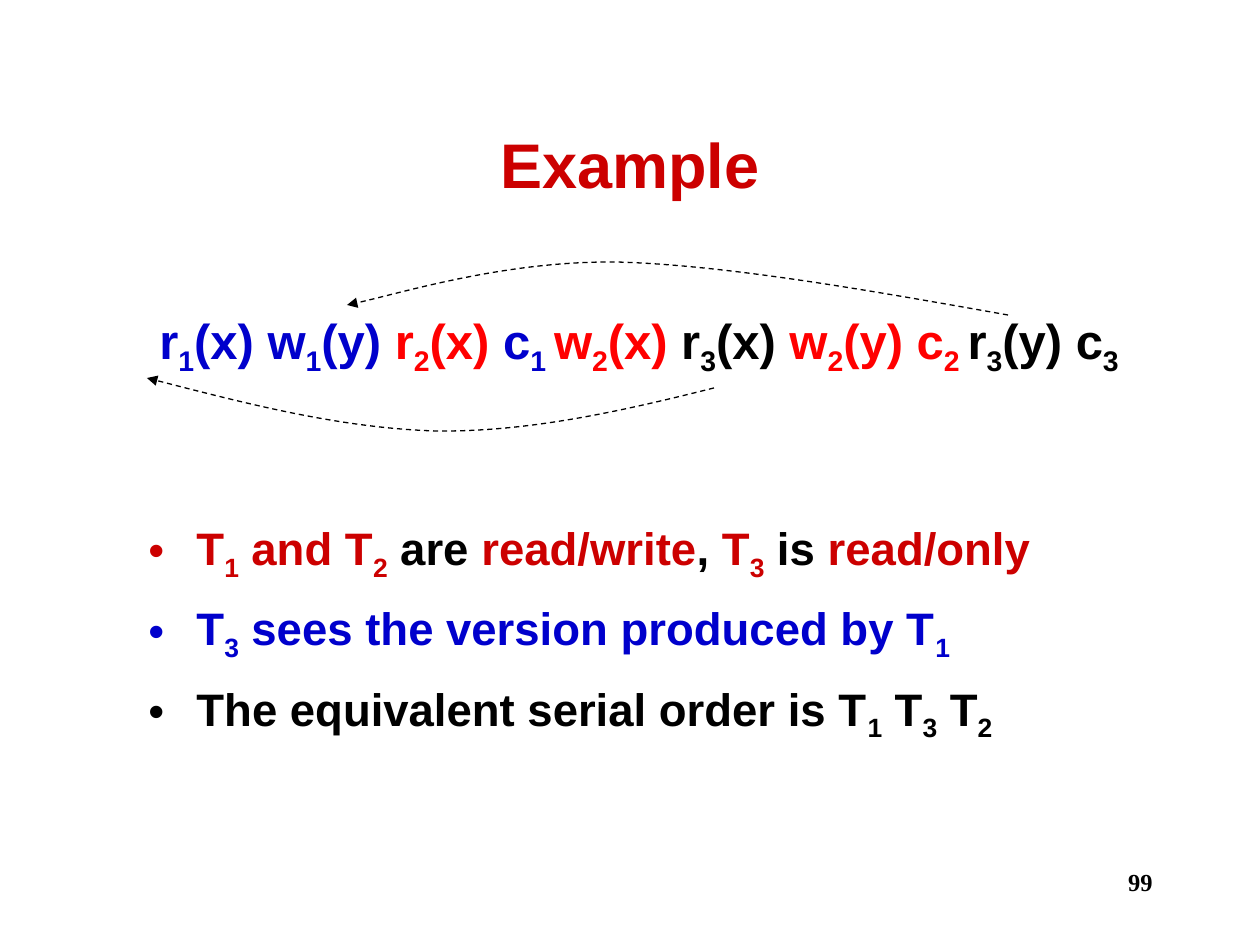
from lxml import etree
from pptx import Presentation
from pptx.dml.color import RGBColor
from pptx.enum.dml import MSO_LINE
from pptx.enum.text import MSO_ANCHOR, PP_ALIGN
from pptx.oxml.ns import qn
from pptx.util import Emu, Pt

DASH = MSO_LINE.DASH
TOP, MIDDLE = MSO_ANCHOR.TOP, MSO_ANCHOR.MIDDLE
LEFT, CENTER, RIGHT = PP_ALIGN.LEFT, PP_ALIGN.CENTER, PP_ALIGN.RIGHT
SCALE = 914400 / 126
COLORS = {"black": "000000", "crimson": "CC0000", "blue": "0000CC", "red": "FF0000"}

TITLE = [[("crimson", "Example")]]
NUMBER = [[("black", "99")]]
SCHEDULE = [[
    ("blue", "r|1|(x) w|1|(y) "), ("red", "r|2|(x)"), ("blue", " c|1 |"),
    ("red", "w|2|(x) "), ("black", "r|3|(x) "), ("red", "w|2|(y) c|2 |"),
    ("black", "r|3|(y) c|3|"),
]]
POINTS = [
    [("crimson", "T|1| and T|2|"), ("black", " are "), ("crimson", "read/write"),
     ("black", ", "), ("crimson", "T|3|"), ("black", " is "), ("crimson", "read/only")],
    [("blue", "T|3| sees the version produced by T|1|")],
    [("black", "The equivalent serial order is T|1| T|3| T|2|")],
]
ARCS = [
    [(714, 388), (622, 411), (530, 432), (436, 431), (341, 428), (244, 403), (147, 378)],
    [(1008, 315), (867, 290), (726, 265), (616, 262), (505, 261), (392, 296), (347, 305)],
]


def px(num):
    return Emu(round(num * SCALE))


def tint(name):
    return RGBColor.from_string(COLORS[name])


def add_runs(para, parts, size, face):
    for color, text in parts:
        for spot, piece in enumerate(text.split("|")):
            if not piece:
                continue
            run = para.add_run()
            run.text = piece
            form = {"size": Pt(size), "name": face, "bold": True}
            for key, val in form.items():
                setattr(run.font, key, val)
            run.font.color.rgb = tint(color)
            if spot % 2:
                run.font._element.set("baseline", "-25000")


def add_bullet(para):
    props = para._p.get_or_add_pPr()
    props.set("marL", str(px(48)))
    props.set("indent", str(px(-48)))
    space = etree.SubElement(props, qn("a:spcBef"))
    etree.SubElement(space, qn("a:spcPct")).set("val", "40000")
    etree.SubElement(props, qn("a:buFont")).set("typeface", "Arial")
    etree.SubElement(props, qn("a:buChar")).set("char", "•")


def add_text(slide, box, lines, size, face="Arial", align=LEFT, anchor=TOP,
             wrap=True, bullet=False):
    frame = slide.shapes.add_textbox(*map(px, box)).text_frame
    form = {"word_wrap": wrap, "vertical_anchor": anchor}
    for key, val in form.items():
        setattr(frame, key, val)
    for spot, parts in enumerate(lines):
        para = frame.add_paragraph() if spot else frame.paragraphs[0]
        para.alignment = align
        if bullet:
            add_bullet(para)
        add_runs(para, parts, size, face)


def add_arc(slide, spots):
    pen = slide.shapes.build_freeform(*spots[0], scale=SCALE)
    pen.add_line_segments(spots[1:], close=False)
    arc = pen.convert_to_shape()
    arc.shadow.inherit = False
    arc.fill.background()
    arc.line.color.rgb = tint("black")
    form = {"width": Pt(0.75), "dash_style": DASH}
    for key, val in form.items():
        setattr(arc.line, key, val)
    tail = etree.SubElement(arc.line._get_or_add_ln(), qn("a:tailEnd"))
    tail.set("type", "triangle")
    steps = list(arc._element.iter(qn("a:lnTo")))
    for first in range(0, len(steps), 3):
        curve = etree.Element(qn("a:cubicBezTo"))
        steps[first].addprevious(curve)
        for step in steps[first:first + 3]:
            curve.append(step[0])
            step.getparent().remove(step)


def main():
    deck = Presentation()
    deck.slide_width, deck.slide_height = px(1260), px(945)
    slide = deck.slides.add_slide(deck.slide_layouts[6])
    add_text(slide, (903, 861, 262, 63), NUMBER, 14, "Times New Roman", RIGHT)
    add_text(slide, (95, 84, 1070, 158), TITLE, 36, align=CENTER, anchor=MIDDLE)
    add_text(slide, (136, 514, 978, 305), POINTS, 26, bullet=True)
    add_text(slide, (147, 304, 1041, 72), SCHEDULE, 28, wrap=False)
    for spots in ARCS:
        add_arc(slide, spots)
    deck.save("out.pptx")


if __name__ == "__main__":
    main()
